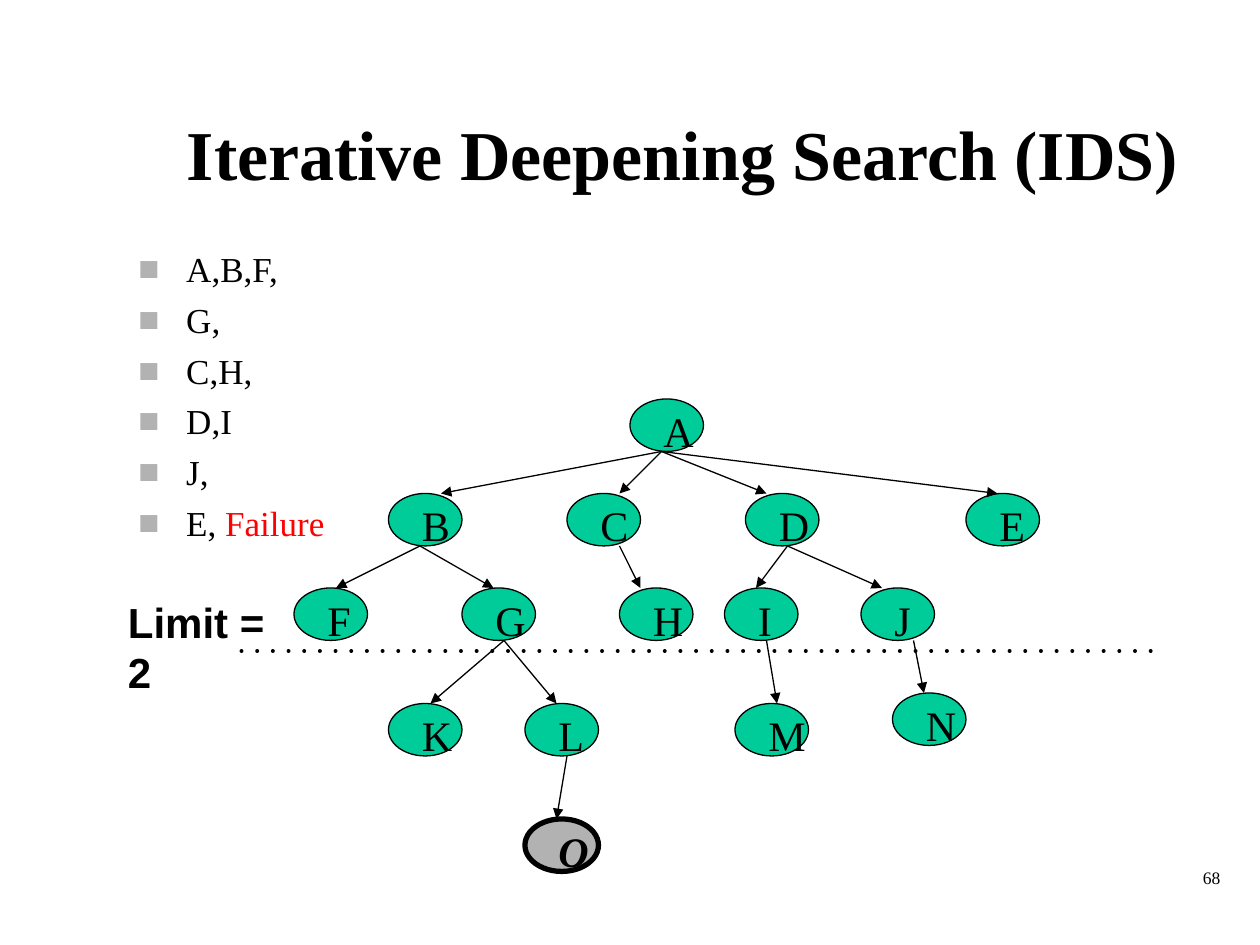
from dataclasses import dataclass
from typing import Any

from lxml import etree
from pptx import Presentation
from pptx import util as u
from pptx.dml.color import RGBColor
from pptx.enum import shapes, text
from pptx.oxml import ns

NODES = {
    "A": (60, 38), "B": (37, 47), "C": (54, 47), "D": (71, 47), "E": (92, 47),
    "F": (28, 56), "G": (44, 56), "H": (59, 56), "I": (69, 56), "J": (82, 56),
    "K": (37, 67), "L": (50, 67), "M": (70, 67), "N": (85, 66), "O": (50, 78),
}
# parent: (column where its edges start, {child: column where the edge ends})
EDGES = {
    "A": (63, {"B": 42, "C": 59, "D": 73, "E": 95}),
    "B": (40, {"F": 32, "G": 47}),
    "C": (59, {"H": 61}),
    "D": (75, {"I": 72, "J": 84}),
    "G": (48, {"K": 41, "L": 53}),
    "I": (73, {"M": 74}),
    "J": (87, {"N": 88}),
    "L": (54, {"O": 53}),
}
NODE_COLS, NODE_ROWS = 7, 5
VISITS = ["A,B,F,", "G,", "C,H,", "D,I", "J,", "E, "]


def rgb(color):
    return RGBColor.from_string(color)


def cells(*counts):
    return [u.Inches(count / 12) for count in counts]


def add_xml(parent, tag, **attributes):
    return etree.SubElement(parent, ns.qn(tag), attributes)


@dataclass
class SearchSlide:
    """Draws on a slide with a grid of 120 columns and 90 rows."""

    slide: Any
    ink: str = "000000"
    green: str = "00CC99"
    gray: str = "B2B2B2"
    red: str = "FF0000"
    serif: str = "Times New Roman"
    sans: str = "Arial"

    def frame(self, col, row, cols, rows, anchor=text.MSO_ANCHOR.TOP):
        box = self.slide.shapes.add_textbox(*cells(col, row, cols, rows))
        box.text_frame.word_wrap = True
        box.text_frame.vertical_anchor = anchor
        return box.text_frame

    def run(self, paragraph, words, size, face=None, color=None, bold=False, italic=False):
        run = paragraph.add_run()
        run.text = words
        font = run.font
        font.size, font.name = u.Pt(size), face or self.serif
        font.bold, font.italic = bold, italic
        font.color.rgb = rgb(color or self.ink)

    def label(self, area, words, size, align=text.PP_ALIGN.LEFT,
              anchor=text.MSO_ANCHOR.TOP, **style):
        paragraph = self.frame(*area, anchor).paragraphs[0]
        paragraph.alignment = align
        self.run(paragraph, words, size, **style)

    def bullet(self, paragraph):
        props = paragraph._p.get_or_add_pPr()
        indent = u.Inches(0.38)
        props.set("marL", str(indent))
        props.set("indent", str(-indent))
        add_xml(add_xml(props, "a:buClr"), "a:srgbClr", val=self.gray)
        add_xml(props, "a:buFont", typeface=self.sans)
        add_xml(props, "a:buChar", char="■")

    def visits(self, area, items, result):
        frame = self.frame(*area)
        for index, item in enumerate(items):
            paragraph = frame.add_paragraph() if index else frame.paragraphs[0]
            paragraph.space_before = u.Pt(5 if index else 0)
            self.bullet(paragraph)
            self.run(paragraph, item, 20)
        self.run(paragraph, result, 20, color=self.red)

    def node(self, name, col, row, goal=False):
        oval = self.slide.shapes.add_shape(
            shapes.MSO_SHAPE.OVAL, *cells(col, row, NODE_COLS, NODE_ROWS))
        oval.shadow.inherit = False
        oval.fill.solid()
        oval.fill.fore_color.rgb = rgb(self.gray if goal else self.green)
        oval.line.color.rgb = rgb(self.ink)
        oval.line.width = u.Pt(3 if goal else 0.75)
        self.label((col + 2, row, 5, 4.8), name, 24, bold=goal, italic=goal)

    def line(self, start, end, width):
        line = self.slide.shapes.add_connector(
            shapes.MSO_CONNECTOR.STRAIGHT, *cells(*start, *end))
        line.line.color.rgb = rgb(self.ink)
        line.line.width = u.Pt(width)
        add_xml(line._element.spPr, "a:effectLst")
        return line.line._get_or_add_ln()

    def arrow(self, start, end):
        add_xml(self.line(start, end, 0.75), "a:tailEnd", type="triangle")

    def dotted(self, start, end):
        stroke = self.line(start, end, 2.25)
        stroke.set("cap", "rnd")
        add_xml(stroke, "a:prstDash", val="dot")


def main():
    deck = Presentation()
    deck.slide_width, deck.slide_height = cells(120, 90)
    page = SearchSlide(deck.slides.add_slide(deck.slide_layouts[6]))

    page.label((92.4, 82, 25, 6), "68", 10, text.PP_ALIGN.RIGHT)
    page.label((14, 7, 102, 15), "Iterative Deepening Search (IDS)", 40,
               text.PP_ALIGN.CENTER, text.MSO_ANCHOR.MIDDLE, bold=True)
    page.visits((12, 23, 102, 11), VISITS, "Failure")
    for name, (col, row) in NODES.items():
        page.node(name, col, row, goal=name == "O")
    for parent, (start_col, children) in EDGES.items():
        start = start_col, NODES[parent][1] + NODE_ROWS
        for child, end_col in children.items():
            page.arrow(start, (end_col, NODES[child][1]))
    page.label((11, 56.2, 16, 4.8), "Limit = 2", 24, face=page.sans, bold=True)
    page.dotted((23, 62), (111, 62))

    deck.save("out.pptx")


if __name__ == "__main__":
    main()
